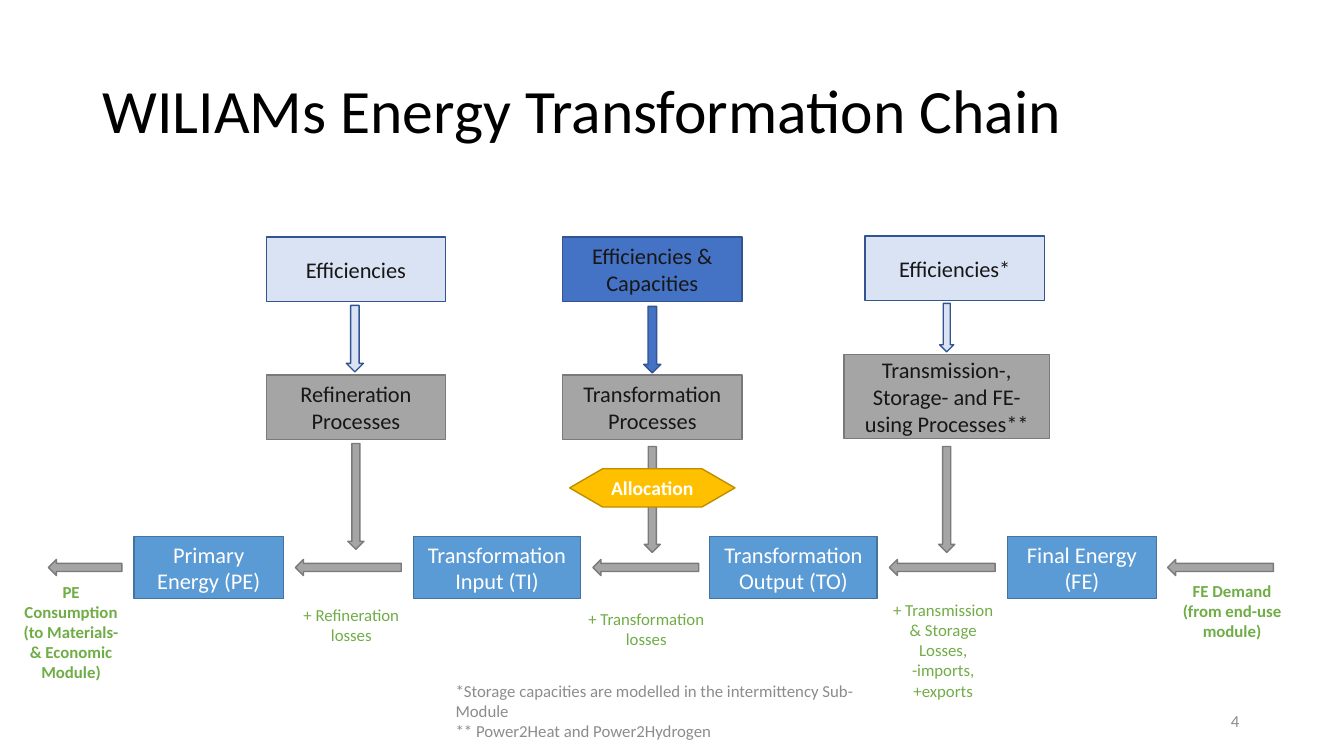
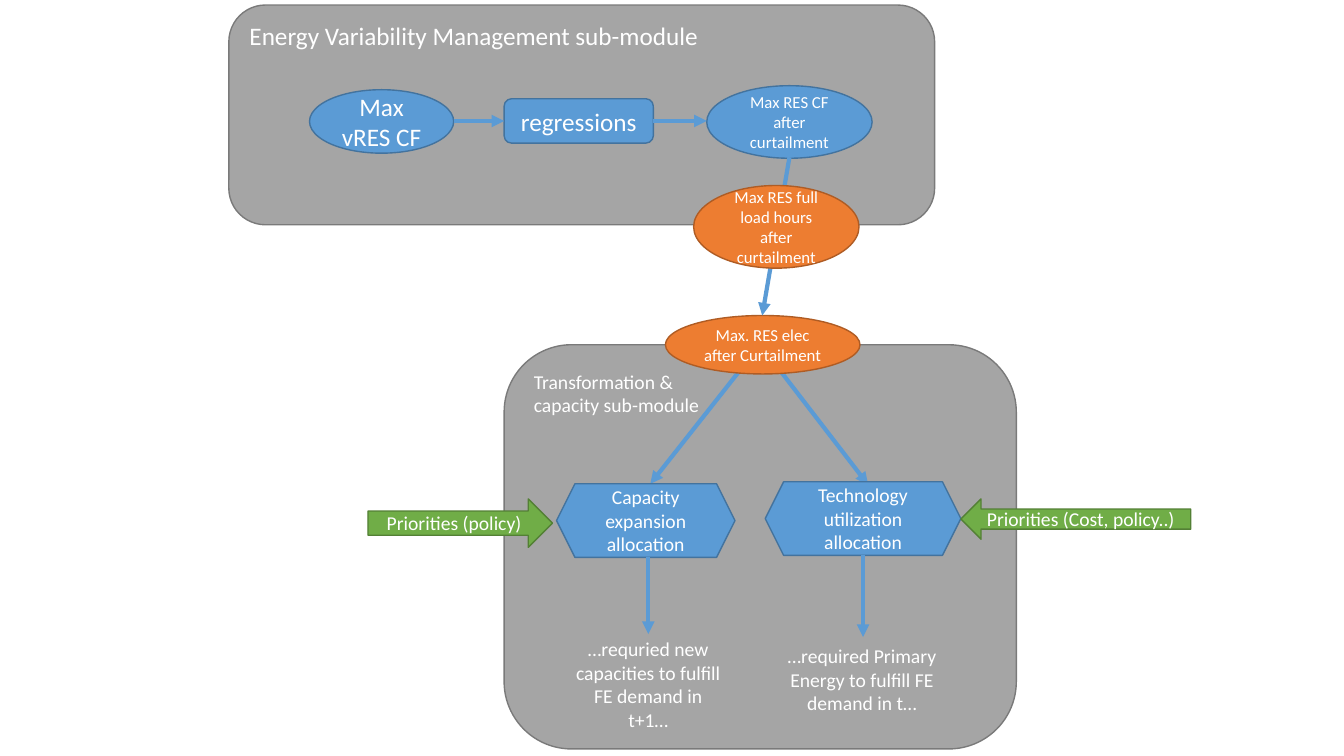
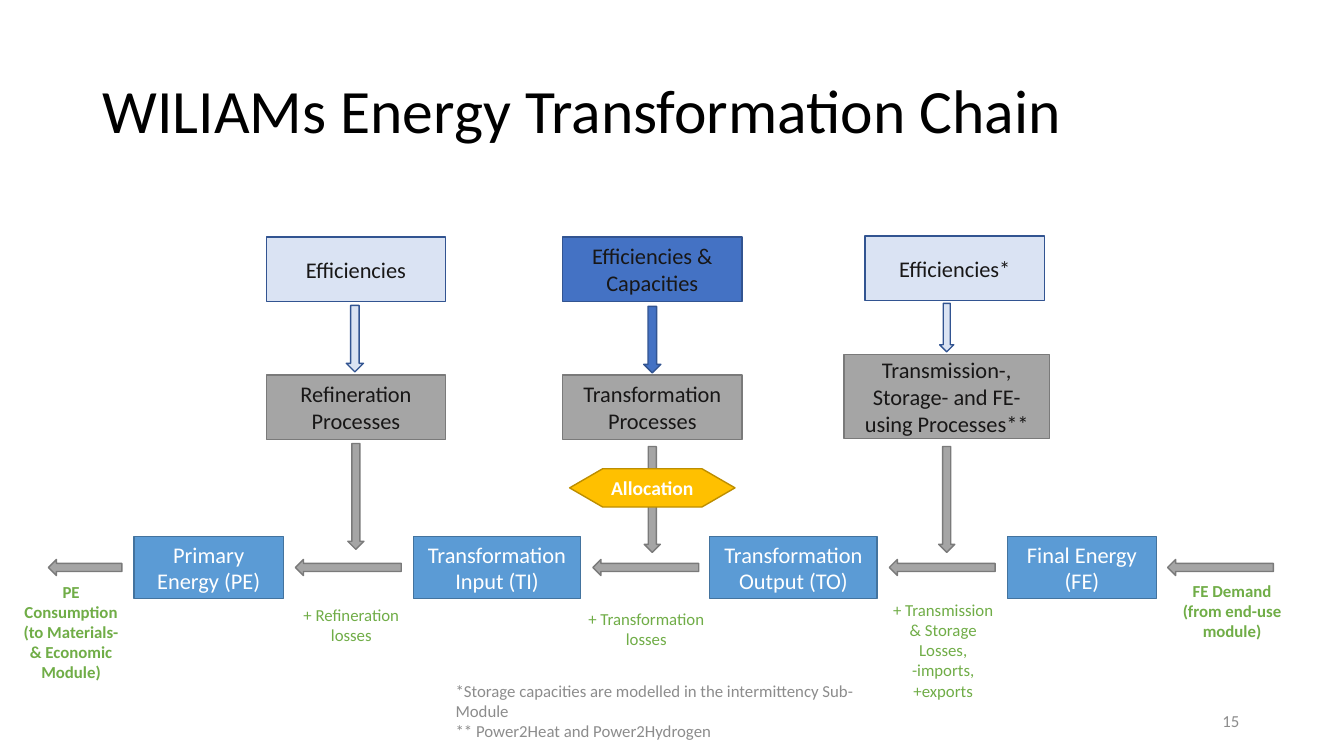
import pptx
import pptx.util
import pptx.dml.color
import pptx.enum.shapes
import pptx.enum.text
import pptx.oxml.ns
import lxml.etree

PX = 9144  # 100 px to the inch
FONT = "Calibri"
INK = {
    "white": "FFFFFF", "black": "000000", "dark": "181717", "mute": "8C8C8C",
    "gray": "A5A5A5", "slate": "7A7A7A", "blue": "5B9BD5", "steel": "43739E",
    "royal": "4472C4", "navy": "325491", "pale": "DAE3F3", "gold": "FFC000",
    "brass": "BD8E00", "green": "70AD47", "moss": "538035",
    "orange": "ED7D31", "rust": "AF5C24",
}
EDGE = {"gray": "slate", "blue": "steel", "royal": "navy", "pale": "navy",
        "gold": "brass", "green": "moss", "orange": "rust"}
KIND = pptx.enum.shapes.MSO_SHAPE
ALIGN = pptx.enum.text.PP_ALIGN
ANCHOR = pptx.enum.text.MSO_ANCHOR

# Chain slides: shared content
TITLE = "WILIAMs Energy Transformation Chain"
NOTES = ("*Storage capacities are modelled in the intermittency Sub-Module\n"
         "** Power2Heat and Power2Hydrogen")
BOXES = [  # text, box, fill, ink
    ("Efficiencies", (264, 235, 178, 64), "pale", "dark"),
    ("Efficiencies & Capacities", (558, 235, 178, 64), "royal", "dark"),
    ("Efficiencies*", (858, 234, 178, 64), "pale", "dark"),
    ("Refineration Processes", (264, 372, 178, 64), "gray", "dark"),
    ("Transformation Processes", (558, 372, 178, 64), "gray", "dark"),
    ("Transmission-, Storage- and FE- using Processes**",
     (837, 352, 204, 83), "gray", "dark"),
    ("Primary Energy (PE)", (133, 532, 148, 62), "blue", "white"),
    ("Transformation Input (TI)", (410, 532, 166, 62), "blue", "white"),
    ("Transformation Output (TO)", (704, 532, 166, 62), "blue", "white"),
    ("Final Energy (FE)", (999, 532, 148, 62), "blue", "white"),
]
DOWN = [  # middle x, top, width, length, fill
    (352, 303, 17, 66, "pale"), (647, 304, 17, 66, "royal"),
    (939, 301, 14, 48, "pale"), (353, 440, 16, 105, "gray"),
    (647, 443, 16, 105, "gray"), (939, 443, 16, 105, "gray"),
]
BACK = [(48, 73), (293, 105), (588, 105), (882, 105), (1158, 105)]  # left, length
LOSSES = [  # text, box, bold, left and right inset
    ("PE Consumption (to Materials- & Economic Module)",
     (8, 572, 125, 111), True, (10, 10)),
    ("+ Refineration losses", (290, 595, 117, 50), False, (10, 10)),
    ("+ Transformation losses", (579, 599, 120, 50), False, (4, 0)),
    ("+ Transmission & Storage Losses, -imports, +exports",
     (881, 590, 109, 111), False, (4, 4)),
    ("FE Demand (from end-use module)", (1158, 571, 128, 71), True, (4, 4)),
]

# Module slide: content
PANELS = [  # text, box, size
    ("Transformation &\ncapacity sub-module", (500, 342, 508, 401), 14),
    ("Energy Variability Management sub-module", (227, 5, 700, 218), 18),
]
FAN = [((754, 342), (861, 481)), ((754, 342), (645, 480))]
NODES = [  # text, box, kind, fill, size
    ("Technology utilization allocation", (759, 478, 194, 73),
     KIND.HEXAGON, "blue", 14),
    ("Capacity expansion allocation", (552, 480, 177, 73),
     KIND.HEXAGON, "blue", 14),
    ("Max. RES elec after Curtailment", (660, 313, 193, 58),
     KIND.OVAL, "orange", 12),
    ("Max vRES CF", (307, 89, 143, 63), KIND.OVAL, "blue", 18),
    ("Max RES CF after curtailment", (701, 85, 164, 72), KIND.OVAL, "blue", 12),
    ("regressions", (500, 98, 148, 44), KIND.ROUNDED_RECTANGLE, "blue", 18),
    ("Priorities (policy)", (365, 495, 183, 48), KIND.RIGHT_ARROW, "green", 14),
    ("Priorities (Cost, policy..)", (953, 495, 228, 40),
     KIND.LEFT_ARROW, "green", 14),
]
FLOWS = [((783, 156), (756, 313)), ((856, 551), (856, 632)),
         ((643, 553), (643, 629))]
HOURS = ("Max RES full load hours after curtailment", (688, 184, 164, 82),
         KIND.OVAL, "orange", 12)
ENDS = [
    ("…required Primary Energy to fulfill FE demand in t…", (770, 634, 170, 81)),
    ("…requried new capacities to fulfill FE demand in t+1…",
     (558, 627, 170, 104)),
]


def emu(box):
    return [round(n * PX) for n in box]


def tint(name):
    return pptx.dml.color.RGBColor.from_string(INK[name])


def write(shape, text, size, ink, align=ALIGN.CENTER, anchor=ANCHOR.MIDDLE,
          bold=False, sides=(10, 10), pitch=None):
    frame = shape.text_frame
    frame.text = text
    frame.word_wrap = True
    frame.vertical_anchor = anchor
    frame.margin_left, frame.margin_right = emu(sides)
    for para in frame.paragraphs:
        para.alignment = align
        if pitch:
            para.line_spacing = pitch
        for run in para.runs:
            run.font.name = FONT
            run.font.size = pptx.util.Pt(size)
            run.font.bold = bold
            run.font.color.rgb = tint(ink)


def label(slide, text, box, size, ink, **style):
    write(slide.shapes.add_textbox(*emu(box)), text, size, ink, **style)


def block(slide, kind, box, fill, text="", size=16, ink="white", **style):
    shape = slide.shapes.add_shape(kind, *emu(box))
    shape.shadow.inherit = False
    shape.fill.solid()
    shape.fill.fore_color.rgb = tint(fill)
    shape.line.color.rgb = tint(EDGE[fill])
    shape.line.width = pptx.util.Pt(1)
    if text:
        write(shape, text, size, ink, **style)
    return shape


def arrow(slide, start, end):
    line = slide.shapes.add_connector(
        pptx.enum.shapes.MSO_CONNECTOR.STRAIGHT, *emu(start + end))
    line.line.color.rgb = tint("blue")
    line.line.width = pptx.util.Pt(3)
    qn = pptx.oxml.ns.qn
    tail = lxml.etree.SubElement(line.line._get_or_add_ln(), qn("a:tailEnd"))
    tail.set("type", "triangle")
    lxml.etree.SubElement(line._element.spPr, qn("a:effectLst"))
    return line


def chain(slide, page):
    # Title and footer
    label(slide, TITLE, (92, 40, 1150, 145), 44, "black",
          align=ALIGN.LEFT, pitch=0.9)
    label(slide, page, (939, 695, 300, 40), 12, "mute", align=ALIGN.RIGHT)
    label(slide, NOTES, (442, 685, 450, 40), 12, "mute", align=ALIGN.LEFT)
    # Boxes and arrows
    for text, box, fill, ink in BOXES:
        block(slide, KIND.RECTANGLE, box, fill, text, ink=ink)
    for mid, top, wide, long, fill in DOWN:
        block(slide, KIND.DOWN_ARROW, (mid - wide / 2, top, wide, long), fill)
    for left, long in BACK:
        block(slide, KIND.LEFT_ARROW, (left, 555, long, 16), "gray")
    block(slide, KIND.FLOWCHART_PREPARATION, (565, 465, 164, 38), "gold",
          "Allocation", 14, bold=True, sides=(8, 8))
    # Loss labels
    for text, box, bold, sides in LOSSES:
        label(slide, text, box, 12, "green", anchor=ANCHOR.TOP,
              bold=bold, sides=sides)


def module(slide):
    # Panels, with the fan behind its nodes
    for text, box, size in PANELS:
        block(slide, KIND.ROUNDED_RECTANGLE, box, "gray", text, size,
              align=ALIGN.LEFT, anchor=ANCHOR.TOP)
    for start, end in FAN:
        arrow(slide, start, end)
    # Nodes and flows
    made = {}
    for text, box, kind, fill, size in NODES:
        made[text] = block(slide, kind, box, fill, text, size)
    for start, end in FLOWS:
        arrow(slide, start, end)
    core = made["regressions"]
    arrow(slide, (450, 120), (500, 120)).end_connect(core, 1)
    arrow(slide, (648, 120), (701, 120)).begin_connect(core, 3)
    text, box, kind, fill, size = HOURS
    block(slide, kind, box, fill, text, size)
    # Outcomes
    for text, box in ENDS:
        label(slide, text, box, 14, "white", anchor=ANCHOR.TOP)


def main():
    deck = pptx.Presentation()
    deck.slide_width, deck.slide_height = emu((1333, 750))
    blank = deck.slide_layouts[6]
    chain(deck.slides.add_slide(blank), "4")
    module(deck.slides.add_slide(blank))
    chain(deck.slides.add_slide(blank), "15")
    deck.save("out.pptx")


if __name__ == "__main__":
    main()
